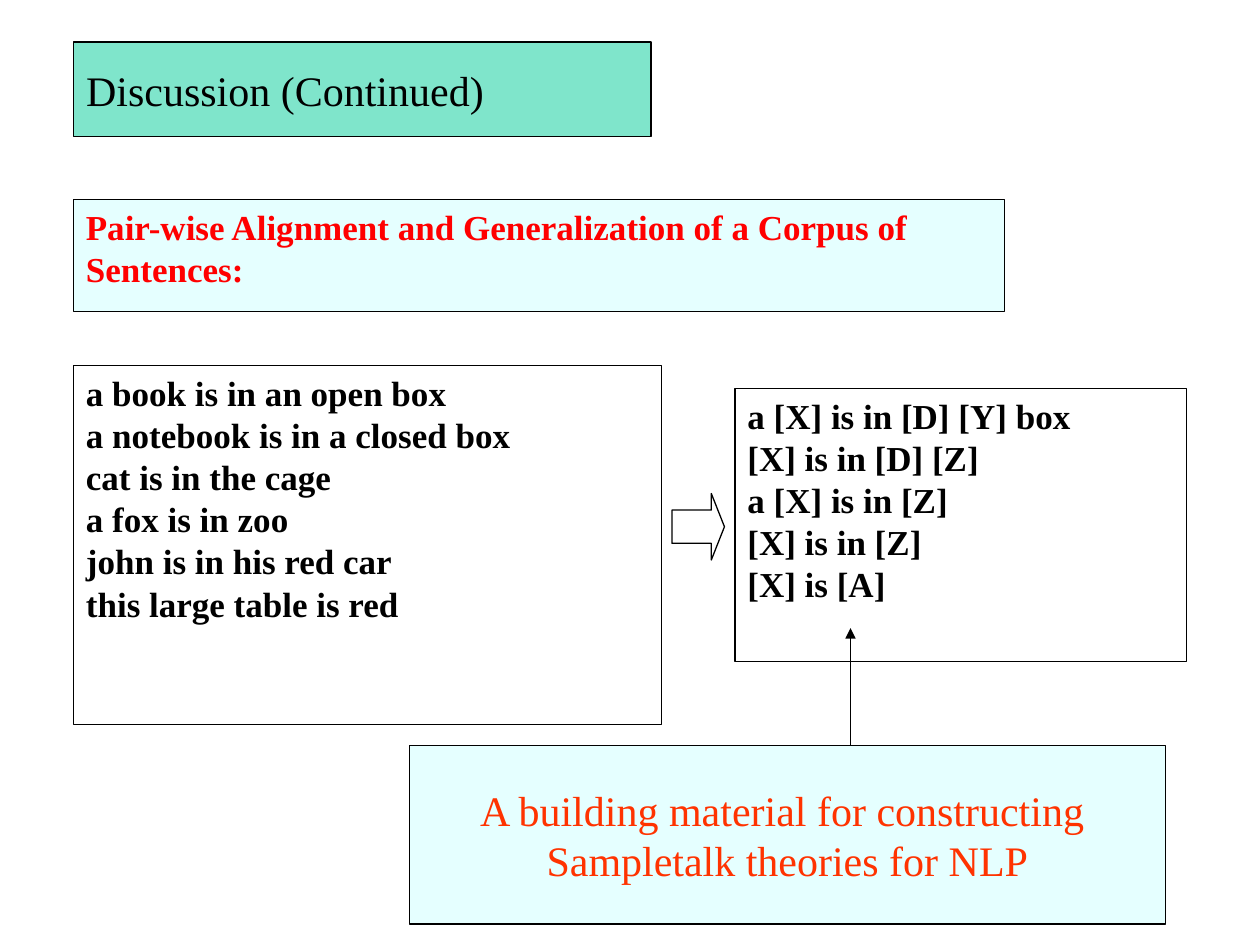
from lxml.etree import SubElement
from pptx import Presentation
from pptx.dml.color import RGBColor
from pptx.enum.shapes import MSO_CONNECTOR as Connector, MSO_SHAPE as Preset
from pptx.enum.text import MSO_ANCHOR as Anchor, MSO_AUTO_SIZE as AutoSize, PP_ALIGN as Align
from pptx.oxml.ns import qn
from pptx.util import Pt

BLACK = RGBColor(0x00, 0x00, 0x00)
WHITE = RGBColor(0xFF, 0xFF, 0xFF)
GREEN = RGBColor(0x00, 0xCC, 0x99)
CYAN = RGBColor(0xCC, 0xFF, 0xFF)
RED = RGBColor(0xFF, 0x00, 0x00)
ORANGE = RGBColor(0xFF, 0x33, 0x00)

STATEMENT = {"size": Pt(20), "bold": True}
HEADLINE = {"size": Pt(24), "bold": False}
TITLE_ONLY = 5

CORPUS = [
    "a book is in an open box",
    "a notebook is in a closed box",
    "cat is in the cage",
    "a fox is in zoo",
    "john is in his red car",
    "this large table is red",
]
PATTERNS = [
    "a [X] is in [D] [Y] box",
    "[X] is in [D] [Z]",
    "a [X] is in [Z]",
    "[X] is in [Z]",
    "[X] is [A]",
]


def outline(shape):
    """Give a shape or connector the thin black line."""
    shape.line.color.rgb = BLACK
    shape.line.width = Pt(0.75)


def paint(shape, color):
    """Fill a shape with a half-transparent colour and outline it."""
    shape.fill.solid()
    shape.fill.fore_color.rgb = color
    tint = shape.element.spPr.find(qn("a:solidFill")).find(qn("a:srgbClr"))
    SubElement(tint, qn("a:alpha"), val="50000")
    outline(shape)


def write(shape, lines, style, color=BLACK, align=Align.LEFT, anchor=Anchor.TOP, wrap=True):
    """Write one paragraph per line in the given style."""
    frame = shape.text_frame
    layout = {"auto_size": AutoSize.NONE, "vertical_anchor": anchor, "word_wrap": wrap}
    for name, value in layout.items():
        setattr(frame, name, value)
    frame.text = "\n".join(lines)
    for para in frame.paragraphs:
        para.alignment = align
        for span in para.runs:
            span.font.color.rgb = color
            for name, value in {"name": "Times New Roman", **style}.items():
                setattr(span.font, name, value)


def add_title(page, box, text):
    """Place the title placeholder as a green panel."""
    title = page.shapes.title
    for name, value in zip(("left", "top", "width", "height"), box):
        setattr(title, name, value)
    paint(title, GREEN)
    write(title, [text], HEADLINE, anchor=Anchor.MIDDLE, wrap=False)


def add_panel(page, box, fill, lines, style, **options):
    """Add an outlined rectangle holding lines of text."""
    panel = page.shapes.add_shape(Preset.RECTANGLE, *box)
    panel.shadow.inherit = False
    paint(panel, fill)
    write(panel, lines, style, **options)


def add_block_arrow(page, box):
    """Add the arrow leading from the corpus to the patterns."""
    arrow = page.shapes.add_shape(Preset.RIGHT_ARROW, *box)
    arrow.shadow.inherit = False
    arrow.adjustments[0] = 0.5
    arrow.adjustments[1] = 0.25
    paint(arrow, WHITE)


def add_pointer(page, start, end):
    """Add a thin line with an arrowhead at its end."""
    pointer = page.shapes.add_connector(Connector.STRAIGHT, *start, *end)
    outline(pointer)
    properties = pointer.element.spPr
    SubElement(properties.find(qn("a:ln")), qn("a:tailEnd"), type="triangle")
    SubElement(properties, qn("a:effectLst"))


def main():
    """Build the discussion slide and save it."""
    deck = Presentation()
    deck.slide_width, deck.slide_height = Pt(720), Pt(540)
    page = deck.slides.add_slide(deck.slide_layouts[TITLE_ONLY])
    left = Pt(42)

    add_panel(page, (left, Pt(209), Pt(336), Pt(205)), WHITE, CORPUS, STATEMENT)
    add_panel(page, (Pt(420), Pt(222), Pt(258), Pt(156)), WHITE, PATTERNS, STATEMENT)
    add_panel(page, (left, Pt(114), Pt(532), Pt(64)), CYAN,
              ["Pair-wise Alignment and Generalization of a Corpus of Sentences:"],
              STATEMENT, color=RED)
    add_block_arrow(page, (Pt(384), Pt(282), Pt(30), Pt(38)))
    add_title(page, (left, Pt(24), Pt(330), Pt(54)), "Discussion (Continued)")
    add_panel(page, (Pt(234), Pt(426), Pt(432), Pt(102)), CYAN,
              ["A building material for constructing ", "Sampletalk theories for NLP"],
              HEADLINE, color=ORANGE, align=Align.CENTER, anchor=Anchor.MIDDLE, wrap=False)
    add_pointer(page, (Pt(486), Pt(426)), (Pt(486), Pt(359)))

    deck.save("out.pptx")


if __name__ == "__main__":
    main()
